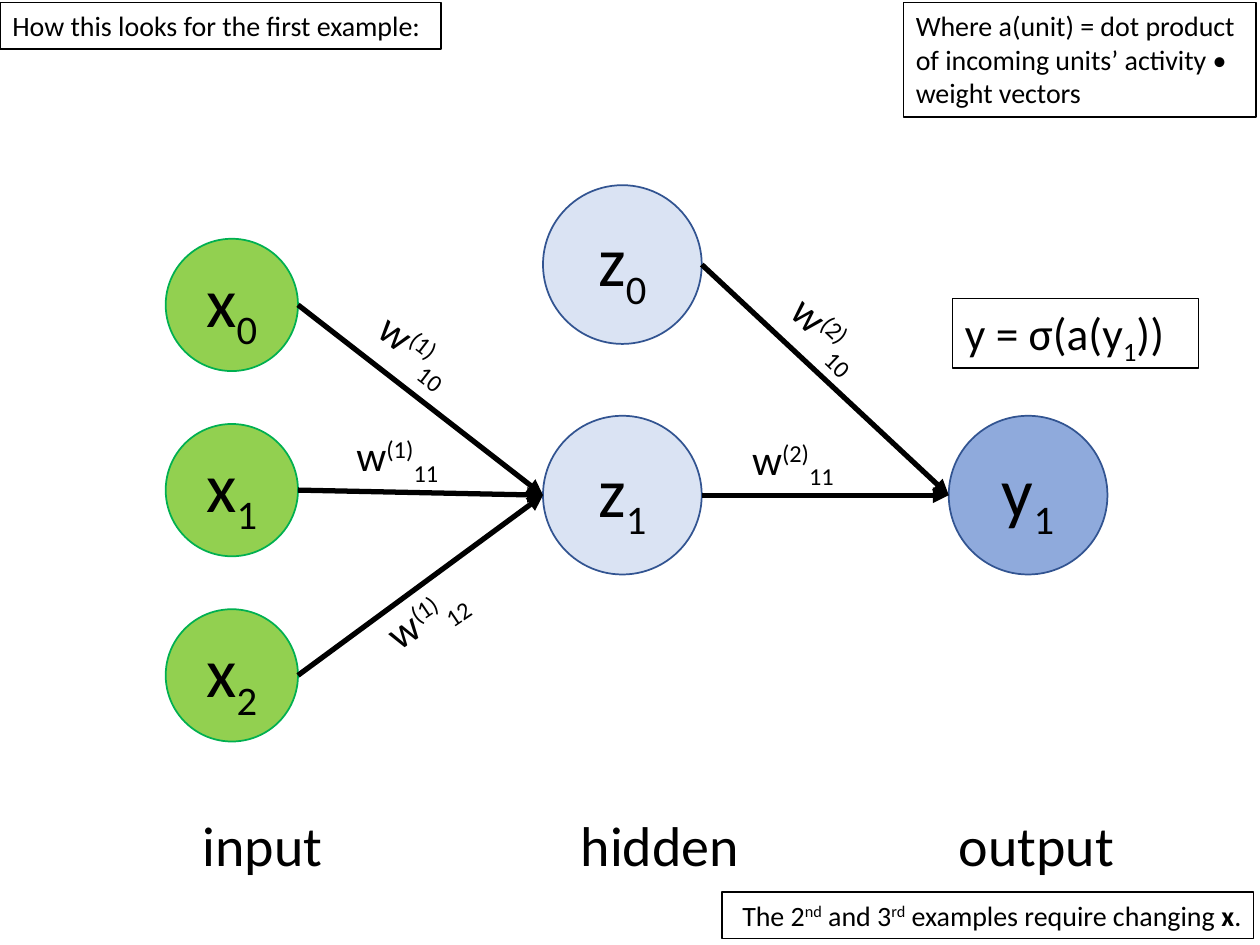
from lxml.etree import SubElement
from pptx import Presentation
from pptx.dml.color import RGBColor
from pptx.enum.shapes import MSO_CONNECTOR, MSO_SHAPE
from pptx.enum.text import MSO_ANCHOR, MSO_AUTO_SIZE, PP_ALIGN
from pptx.oxml.ns import qn
from pptx.util import Inches, Pt

COLUMNS = {"x": 1.84, "z": 4.94, "y": 8.16}
INPUT_TOP, INPUT_STEP = 2.42, 1.47
HIDDEN_TOP, MIDDLE = 2.1, 3.93
INPUT_SIZE, UNIT_SIZE = 1.05, 1.26
SUPER, SUB = 30, -25


def color(value):
    return RGBColor.from_string(value)


def write(para, spans, size):
    for text, shift in spans:
        span = para.add_run()
        span.text = text
        span.font.size = Pt(size)
        span.font.name = "Calibri"
        span.font.color.rgb = color("000000")
        if shift:
            span.font._element.set("baseline", str(shift * 1000))


def add_unit(page, letter, index, middle, size, fill, line):
    left, top = COLUMNS[letter] - size / 2, middle - size / 2
    unit = page.shapes.add_shape(
        MSO_SHAPE.OVAL, Inches(left), Inches(top), Inches(size), Inches(size))
    unit.shadow.inherit = False
    unit.fill.solid()
    unit.fill.fore_color.rgb = color(fill)
    unit.line.color.rgb = color(line)
    unit.line.width = Pt(1)
    unit.text_frame.vertical_anchor = MSO_ANCHOR.MIDDLE
    para = unit.text_frame.paragraphs[0]
    para.alignment = PP_ALIGN.CENTER
    write(para, [(letter, 0), (str(index), SUB)], 40)
    return unit


def add_arrow(page, source, target):
    arrow = page.shapes.add_connector(
        MSO_CONNECTOR.STRAIGHT,
        source.left + source.width, source.top + source.height // 2,
        target.left, target.top + target.height // 2)
    arrow.line.color.rgb = color("000000")
    arrow.line.width = Pt(3)
    SubElement(arrow.line._get_or_add_ln(), qn("a:tailEnd"), type="triangle")
    SubElement(arrow._element.spPr, qn("a:effectLst"))


def add_text(page, left, top, width, height, spans, size, wrap=False):
    box = page.shapes.add_textbox(
        Inches(left), Inches(top), Inches(width), Inches(height))
    box.text_frame.word_wrap = wrap
    box.text_frame.auto_size = MSO_AUTO_SIZE.SHAPE_TO_FIT_TEXT
    write(box.text_frame.paragraphs[0], spans, size)
    return box


def add_weight(page, left, top, layer, index, angle):
    spans = [("w", 0), (f"({layer})", SUPER), (index, SUB)]
    add_text(page, left, top, 0.92, 0.5, spans, 24).rotation = angle


def add_note(page, left, top, width, height, spans, size=16):
    note = add_text(page, left, top, width, height, spans, size, wrap=True)
    note.line.color.rgb = color("000000")
    note.line.width = Pt(0.75)
    return note.text_frame.paragraphs[0]


def add_layer_names(page):
    box = add_text(page, 1.51, 6.38, 7.51, 0.64, [], 32)
    para = box.text_frame.paragraphs[0]
    tabs = SubElement(para._p.get_or_add_pPr(), qn("a:tabLst"))
    for column in (1, 2):
        SubElement(tabs, qn("a:tab"), pos=str(Inches(3 * column)), algn="l")
    write(para, [("input\thidden\toutput", 0)], 32)


def add_network(page):
    inputs = [
        add_unit(page, "x", row, INPUT_TOP + row * INPUT_STEP, INPUT_SIZE, "92D050", "00B050")
        for row in range(3)]
    hidden = [
        add_unit(page, "z", row, middle, UNIT_SIZE, "DAE3F3", "325491")
        for row, middle in enumerate((HIDDEN_TOP, MIDDLE))]
    output = add_unit(page, "y", 1, MIDDLE, UNIT_SIZE, "8FAADC", "325491")
    for unit in inputs:
        add_arrow(page, unit, hidden[1])
    for unit in hidden:
        add_arrow(page, unit, output)
    for weight in (
            (2.89, 2.53, 1, "10", 37.5),
            (2.73, 3.36, 1, "11", 0),
            (2.94, 4.61, 1, "12", 325.9),
            (6.15, 2.41, 2, "10", 43.5),
            (5.87, 3.39, 2, "11", 0)):
        add_weight(page, *weight)


def add_notes(page):
    add_note(page, 0, 0.02, 3.5, 0.37, [("How this looks for the first example:", 0)])
    add_note(page, 7.17, 0.02, 2.8, 0.91, [
        ("Where a(unit) = dot product of incoming units’ activity • weight vectors", 0)])
    add_note(page, 7.56, 2.37, 1.95, 0.55, [("y = σ(a(y", 0), ("1", SUB), ("))", 0)], 26)
    closing = add_note(page, 5.73, 7.08, 4.22, 0.37, [
        ("The 2", 0), ("nd", SUPER), (" and 3", 0), ("rd", SUPER),
        (" examples require changing ", 0), ("x", 0), (".", 0)])
    closing.alignment = PP_ALIGN.RIGHT
    closing.runs[-2].font.bold = True


def main():
    deck = Presentation()
    deck.slide_width, deck.slide_height = Inches(10), Inches(7.5)
    page = deck.slides.add_slide(deck.slide_layouts[6])
    add_network(page)
    add_layer_names(page)
    add_notes(page)
    deck.save("out.pptx")


if __name__ == "__main__":
    main()
